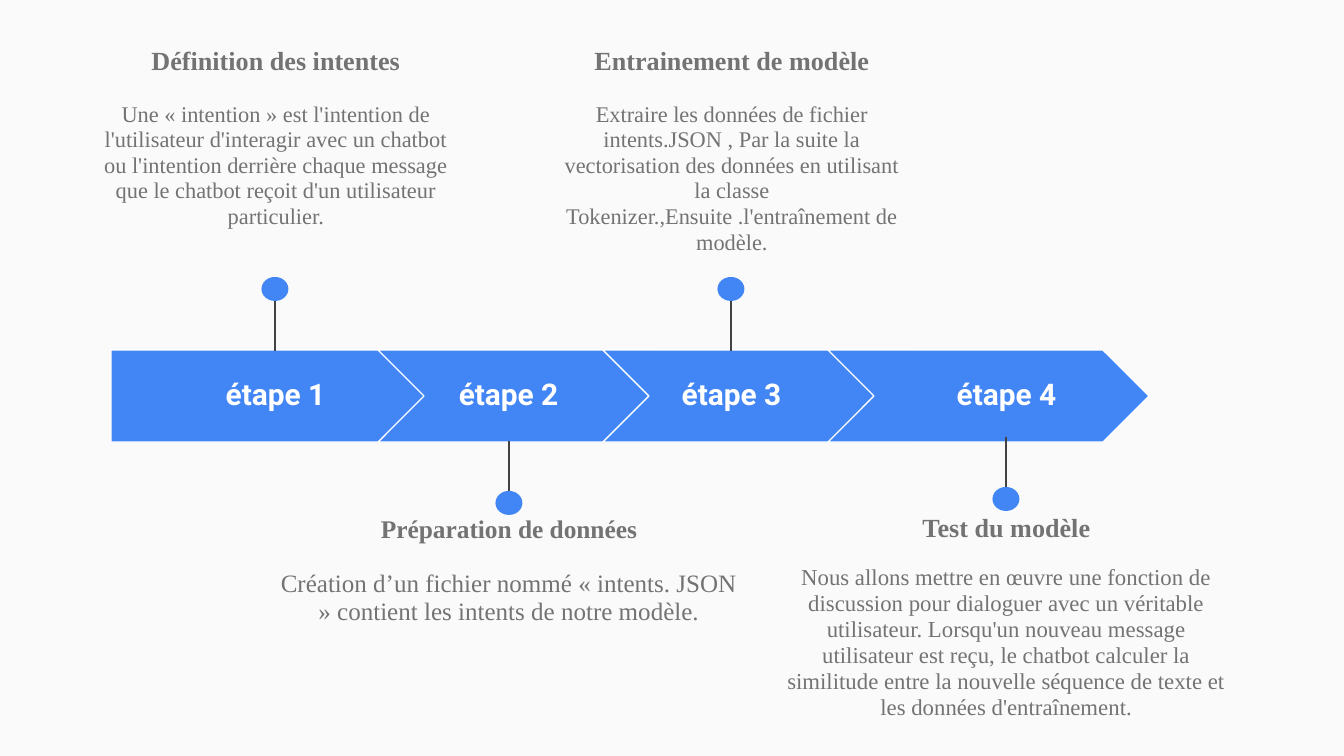
from lxml import etree
from pptx import Presentation
from pptx import util as u
from pptx.dml.color import RGBColor
from pptx.enum import shapes, text
from pptx.oxml.ns import qn

EMU_PER_PX = 914400 / 134.4
BLUE, WHITE, GREY, DARK, PAPER = "4285F4", "FFFFFF", "737373", "424242", "FAFAFA"


def px(length):
    return u.Emu(round(length * EMU_PER_PX))


def color(value):
    return RGBColor.from_string(value)


def write(para, words, *, size, font, ink, bold=False, spacing=1.0, after=0):
    para.alignment = text.PP_ALIGN.CENTER
    para.line_spacing = spacing
    para.space_after = u.Pt(after)
    span = para.add_run()
    span.text = words
    span.font.size = u.Pt(size)
    span.font.name = font
    span.font.bold = bold
    span.font.color.rgb = color(ink)


class Timeline:
    """Holds the style and the slide that is being drawn."""

    heading_font = "Roboto"
    body_font = "Times New Roman"
    arrow_top, arrow_height = 350, 92
    dot_width, dot_height = 27, 24
    stem = 70

    def __init__(self, slide):
        self.slide = slide
        slide.background.fill.solid()
        slide.background.fill.fore_color.rgb = color(PAPER)

    def shape(self, kind, left, top, width, height, outline=None):
        shape = self.slide.shapes.add_shape(kind, px(left), px(top), px(width), px(height))
        shape.shadow.inherit = False
        shape.fill.solid()
        shape.fill.fore_color.rgb = color(BLUE)
        if outline:
            shape.line.color.rgb = color(outline)
            shape.line.width = u.Pt(0.75)
        else:
            shape.line.fill.background()

    def frame(self, left, top, width, height, anchor):
        box = self.slide.shapes.add_textbox(px(left), px(top), px(width), px(height))
        frame = box.text_frame
        frame.word_wrap = True
        frame.vertical_anchor = anchor
        frame.margin_left = frame.margin_right = u.Inches(0.1)
        frame.margin_top = frame.margin_bottom = u.Inches(0.1)
        return frame

    def arrow(self, kind, left, width):
        self.shape(kind, left, self.arrow_top, width, self.arrow_height, outline=WHITE)

    def label(self, words, left, width):
        frame = self.frame(left, 367, width, 59, text.MSO_ANCHOR.MIDDLE)
        write(frame.paragraphs[0], words, size=16, font=self.heading_font,
              ink=WHITE, bold=True, spacing=0.8)

    def pin(self, center, start, direction):
        """Draws a stem from start, with a dot at its far end."""
        end = start + direction * self.stem
        line = self.slide.shapes.add_connector(
            shapes.MSO_CONNECTOR.STRAIGHT, px(center), px(end), px(center), px(start))
        line.line.color.rgb = color(DARK)
        line.line.width = u.Pt(0.75)
        etree.SubElement(line._element.spPr, qn("a:effectLst"))
        dot_top = end - 4 if direction < 0 else end + 4 - self.dot_height
        self.shape(shapes.MSO_SHAPE.OVAL, center - self.dot_width / 2, dot_top,
                   self.dot_width, self.dot_height)

    def note(self, area, title, body, title_size, body_size, title_spacing, gap):
        frame = self.frame(*area, text.MSO_ANCHOR.TOP)
        style = {"font": self.body_font, "ink": GREY}
        write(frame.paragraphs[0], title, size=title_size, bold=True,
              spacing=title_spacing, after=gap, **style)
        write(frame.add_paragraph(), body, size=body_size, spacing=0.95, **style)


PENTAGON, CHEVRON = shapes.MSO_SHAPE.PENTAGON, shapes.MSO_SHAPE.CHEVRON
UP, DOWN = -1, 1

STEPS = [
    # arrow, label (left, width), pin (center, start, direction), note
    ((PENTAGON, 111, 321), (176, 199), (275, 351, UP),
     ((86, 35, 380, 259), "Définition des intentes",
      "Une « intention » est l'intention de l'utilisateur d'interagir avec un chatbot "
      "ou l'intention derrière chaque message que le chatbot reçoit d'un utilisateur "
      "particulier.", 14, 12, 0.87, 14)),
    ((CHEVRON, 378, 321), (419, 179), (509, 441, DOWN),
     ((263, 504, 492, 195), "Préparation de données",
      "Création d’un fichier nommé « intents. JSON » contient les intents de notre modèle.",
      13.6, 13.4, 0.87, 13.6)),
    ((CHEVRON, 603, 356), (642, 179), (731, 351, UP),
     ((542, 35, 380, 259), "Entrainement de modèle",
      "Extraire les données de fichier intents.JSON , Par la suite la vectorisation des "
      "données en utilisant la classe Tokenizer.,Ensuite .l'entraînement de modèle.",
      14, 12, 0.87, 14)),
    ((CHEVRON, 828, 321), (917, 179), (1006, 437, DOWN),
     ((774, 504, 465, 259), "Test du modèle",
      "Nous allons mettre en œuvre une fonction de discussion pour dialoguer avec un "
      "véritable utilisateur. Lorsqu'un nouveau message utilisateur est reçu, le chatbot "
      "calculer la similitude entre la nouvelle séquence de texte et les données "
      "d'entraînement.", 14, 12.2, 0.8, 12)),
]


def main():
    deck = Presentation()
    deck.slide_width, deck.slide_height = px(1344), px(756)
    blank_layout = deck.slide_layouts[6]
    timeline = Timeline(deck.slides.add_slide(blank_layout))

    # Each step: arrow, its label, its pin and its explanation
    for arrow, label, pin, note in STEPS:
        timeline.arrow(*arrow)
    for number, (arrow, label, pin, note) in enumerate(STEPS, start=1):
        timeline.label(f"étape {number}", *label)
        timeline.pin(*pin)
        timeline.note(*note)

    deck.save("out.pptx")


if __name__ == "__main__":
    main()
